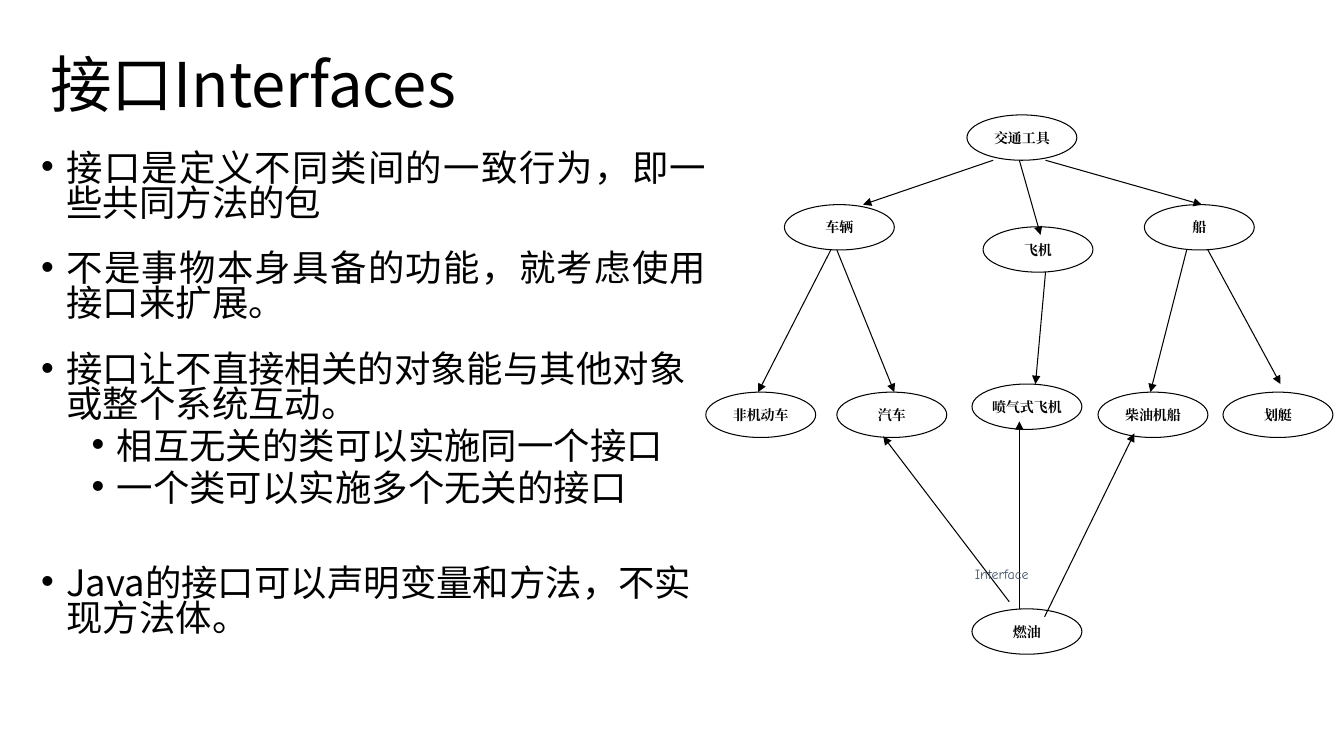
from dataclasses import dataclass

from lxml.etree import SubElement
from pptx import Presentation
from pptx.dml.color import RGBColor
from pptx.enum.shapes import MSO_CONNECTOR, MSO_SHAPE
from pptx.enum.text import MSO_ANCHOR, PP_ALIGN
from pptx.oxml.ns import qn
from pptx.util import Inches, Pt


@dataclass(frozen=True)
class Theme:
    ink: str = "000000"
    note: str = "44546A"
    main_font: str = "Noto Sans CJK SC"
    node_font: str = "Times New Roman"
    note_font: str = "Comic Neue"
    title_size: int = 44
    body_size: int = 26
    node_size: int = 10
    line_width: float = 0.75


THEME = Theme()
NODE_WIDTH, NODE_HEIGHT = 1.09, 0.45

# Rows of the class tree, as top edges
ROOT_ROW, KIND_ROW, PLANE_ROW = 1.14, 2.03, 2.25
JET_ROW, LEAF_ROW, FUEL_ROW = 3.81, 3.89, 6.04

NODES = [
    ("交通工具", 9.59, ROOT_ROW),
    ("车辆", 7.78, KIND_ROW),
    ("飞机", 9.75, PLANE_ROW),
    ("船", 11.35, KIND_ROW),
    ("非机动车", 7.0, LEAF_ROW),
    ("汽车", 8.3, LEAF_ROW),
    ("喷气式飞机", 9.64, JET_ROW),
    ("柴油机船", 10.89, LEAF_ROW),
    ("划艇", 12.13, LEAF_ROW),
    ("燃油", 9.64, FUEL_ROW),
]

ROOT_BASE, KIND_BASE = ROOT_ROW + NODE_HEIGHT, KIND_ROW + NODE_HEIGHT
ARROWS = [
    # Vehicle to its kinds
    ((9.85, ROOT_BASE), (8.56, KIND_ROW)),
    ((10.11, ROOT_BASE), (10.32, 2.33)),
    ((10.37, ROOT_BASE), (11.92, KIND_ROW)),
    # Kinds to their members
    ((8.24, KIND_BASE), (7.52, LEAF_ROW)),
    ((8.3, KIND_BASE), (8.87, LEAF_ROW)),
    ((10.37, PLANE_ROW + NODE_HEIGHT), (10.27, JET_ROW)),
    ((11.77, KIND_BASE), (11.41, LEAF_ROW)),
    ((11.98, KIND_BASE), (12.7, JET_ROW)),
    # Fuel interface to the members that use it
    ((10.01, 5.97), (8.76, 4.33)),
    ((10.11, FUEL_ROW), (10.11, 4.18)),
    ((10.36, 6.12), (11.25, 4.3)),
]

# Text, level, alignment, space before, space after
BULLETS = [
    ("接口是定义不同类间的一致行为，即一些共同方法的包", 0, PP_ALIGN.JUSTIFY, 10, 12),
    ("不是事物本身具备的功能，就考虑使用接口来扩展。", 0, PP_ALIGN.JUSTIFY, 10, 12),
    ("接口让不直接相关的对象能与其他对象或整个系统互动。", 0, PP_ALIGN.LEFT, 10, 0),
    ("相互无关的类可以实施同一个接口", 1, PP_ALIGN.LEFT, 5, 0),
    ("一个类可以实施多个无关的接口", 1, PP_ALIGN.LEFT, 5, 0),
    ("Java的接口可以声明变量和方法，不实现方法体。", 0, PP_ALIGN.LEFT, 43, 0),
]


def format_runs(paragraph, font_name, size, color, bold=False):
    for run in paragraph.runs:
        font = run.font
        font.name, font.size, font.bold = font_name, Pt(size), bold
        font.color.rgb = RGBColor.from_string(color)
        SubElement(font._element, qn("a:ea"), typeface=font_name)


def add_text_box(shapes, left, top, width, height, wrap=True):
    box = shapes.add_textbox(*map(Inches, (left, top, width, height)))
    box.text_frame.word_wrap = wrap
    return box.text_frame


def add_title(slide, text):
    frame = add_text_box(slide.shapes, 0.4, 0.14, 11.5, 1.45)
    frame.vertical_anchor = MSO_ANCHOR.MIDDLE
    frame.text = text
    paragraph = frame.paragraphs[0]
    paragraph.line_spacing = 0.9
    format_runs(paragraph, THEME.main_font, THEME.title_size, THEME.ink)


def add_bullets(slide, bullets):
    frame = add_text_box(slide.shapes, 0.31, 1.47, 6.8, 5.12)
    frame.text = "\n".join(bullet[0] for bullet in bullets)
    for paragraph, (_, level, alignment, before, after) in zip(frame.paragraphs, bullets):
        paragraph.level, paragraph.alignment = level, alignment
        paragraph.line_spacing = 0.8
        paragraph.space_before, paragraph.space_after = Pt(before), Pt(after)
        properties = paragraph._p.get_or_add_pPr()
        properties.set("marL", str(Inches(0.25 + 0.5 * level)))
        properties.set("indent", str(Inches(-0.25)))
        SubElement(properties, qn("a:buFont"), typeface="Arial")
        SubElement(properties, qn("a:buChar"), char="•")
        format_runs(paragraph, THEME.main_font, THEME.body_size, THEME.ink)


def style_line(line):
    line.color.rgb = RGBColor.from_string(THEME.ink)
    line.width = Pt(THEME.line_width)


def add_node(shapes, text, left, top):
    node = shapes.add_shape(
        MSO_SHAPE.OVAL, *map(Inches, (left, top, NODE_WIDTH, NODE_HEIGHT)))
    node.shadow.inherit = False
    node.fill.background()
    style_line(node.line)
    frame = node.text_frame
    frame.word_wrap = False
    frame.vertical_anchor = MSO_ANCHOR.MIDDLE
    frame.text = text
    paragraph = frame.paragraphs[0]
    paragraph.alignment = PP_ALIGN.CENTER
    format_runs(paragraph, THEME.node_font, THEME.node_size, THEME.ink, bold=True)


def add_arrow(shapes, start, end):
    arrow = shapes.add_connector(MSO_CONNECTOR.STRAIGHT, *map(Inches, start + end))
    style_line(arrow.line)
    SubElement(arrow.line._get_or_add_ln(), qn("a:tailEnd"), type="triangle")
    SubElement(arrow._element.spPr, qn("a:effectLst"))


def add_note(shapes, text):
    frame = add_text_box(shapes, 9.57, 5.56, 1.07, 0.44, wrap=False)
    frame.text = text
    format_runs(frame.paragraphs[0], THEME.note_font, THEME.node_size, THEME.note)


def main():
    presentation = Presentation()
    presentation.slide_width, presentation.slide_height = Inches(13.33), Inches(7.5)
    slide = presentation.slides.add_slide(presentation.slide_layouts[6])

    # Title and explanation
    add_title(slide, "接口Interfaces")
    add_bullets(slide, BULLETS)

    # Class tree with the fuel interface
    tree = slide.shapes.add_group_shape().shapes
    for node in NODES:
        add_node(tree, *node)
    for arrow in ARROWS:
        add_arrow(tree, *arrow)
    add_note(tree, "Interface")

    presentation.save("out.pptx")


main()
